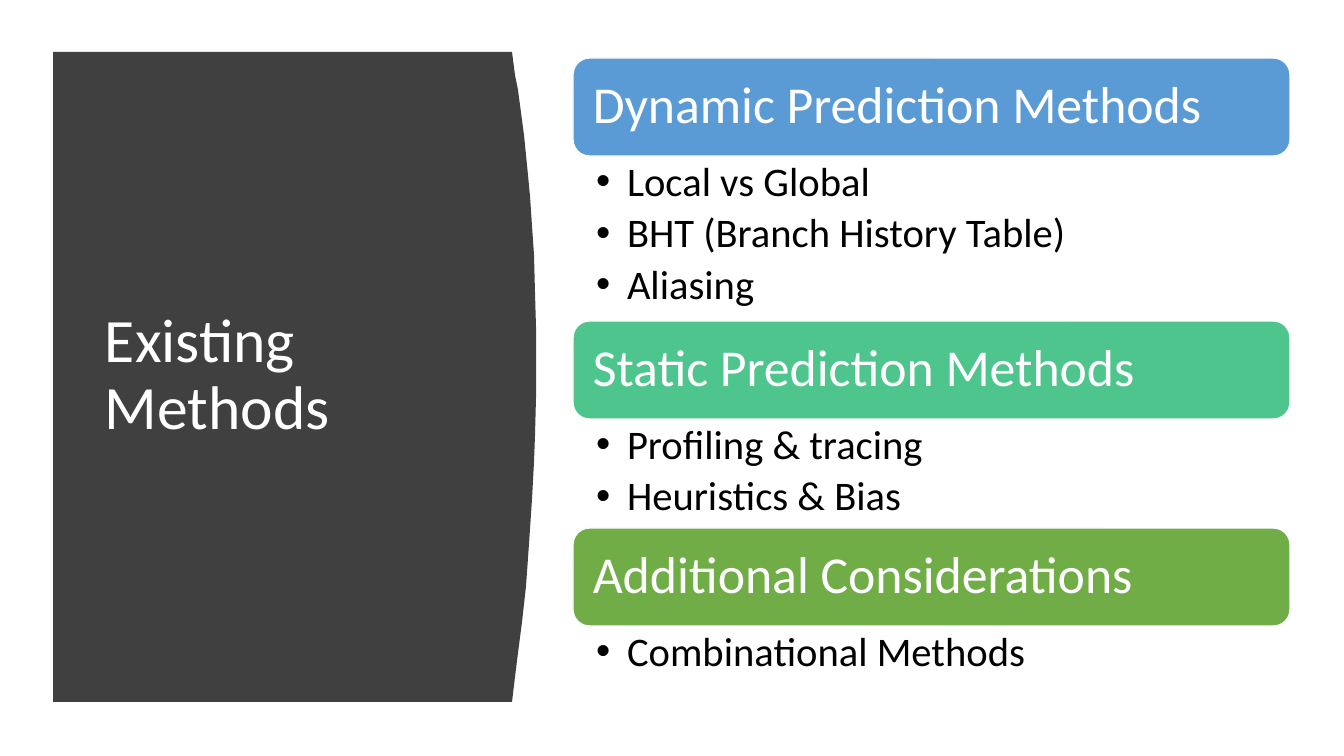
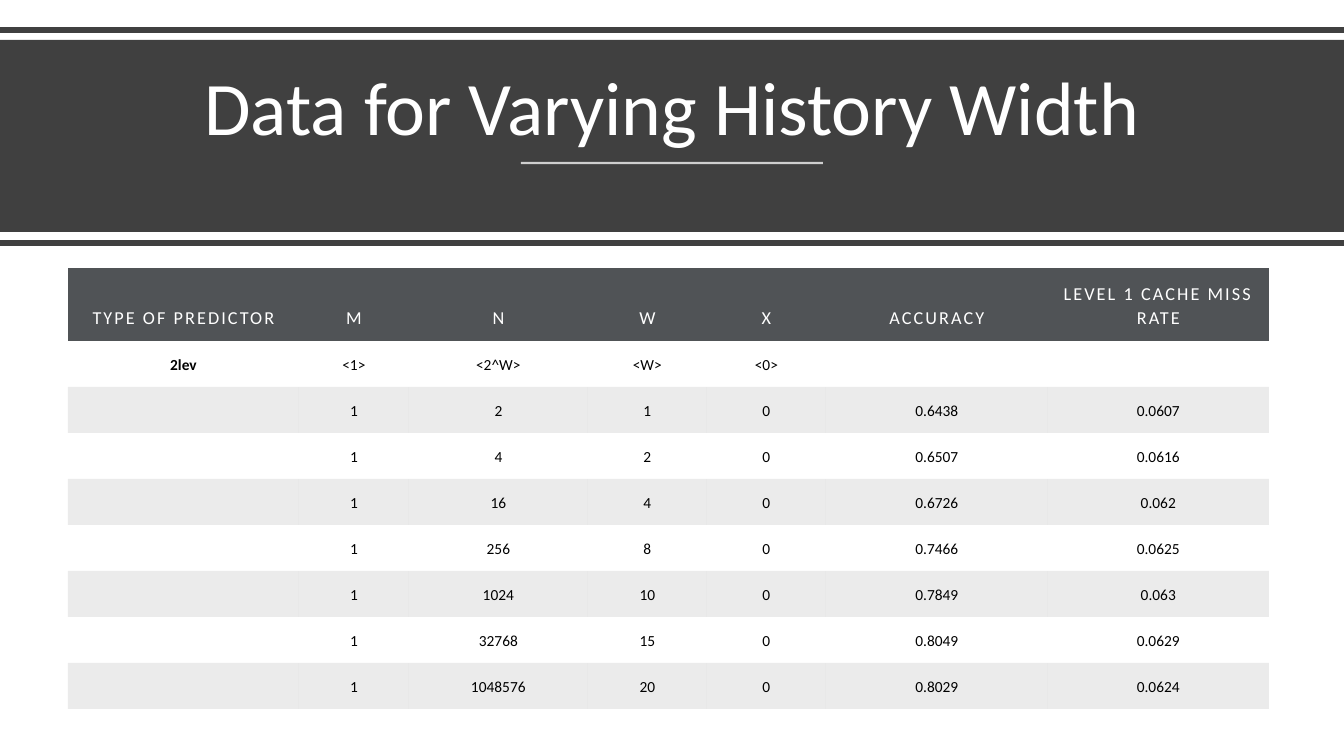
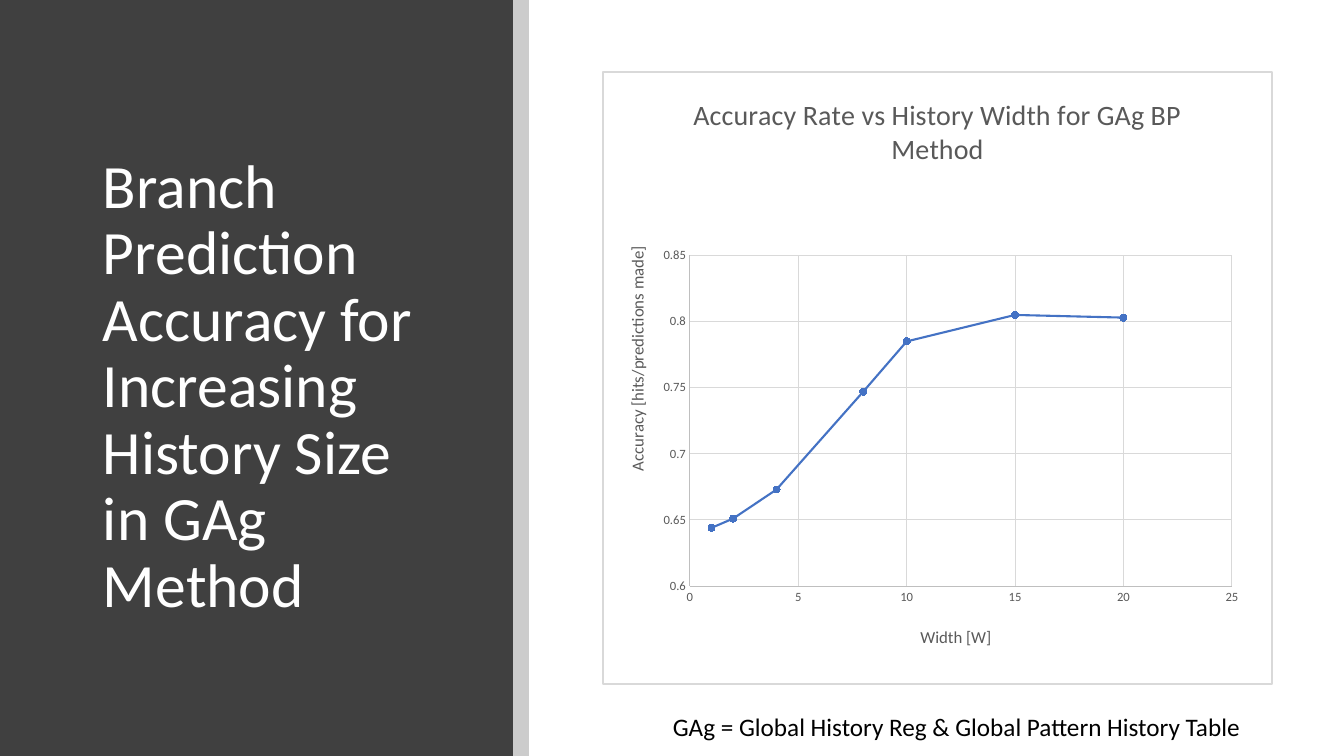
from lxml.etree import SubElement
from pptx import Presentation
from pptx.chart.data import XyChartData
from pptx.dml.color import RGBColor
from pptx.enum.chart import XL_CHART_TYPE, XL_MARKER_STYLE, XL_TICK_MARK
from pptx.enum.shapes import MSO_CONNECTOR, MSO_SHAPE
from pptx.enum.text import MSO_ANCHOR, PP_ALIGN
from pptx.oxml import parse_xml
from pptx.oxml.ns import nsdecls, qn
from pptx.util import Pt

SCALE = 12192000 / 1344
WIDTH, HEIGHT = 1344, 756
FONT = "Calibri"
NO_STYLE_TABLE = "{2D5ABB26-0587-4C30-8999-92F81FD0307C}"

WHITE = RGBColor(0xFF, 0xFF, 0xFF)
BLACK = RGBColor(0x00, 0x00, 0x00)
DARK = RGBColor(0x40, 0x40, 0x40)
SLATE = RGBColor(0x50, 0x53, 0x56)
BLUE = RGBColor(0x5B, 0x9B, 0xD5)
TEAL = RGBColor(0x4D, 0xC5, 0x8D)
GREEN = RGBColor(0x70, 0xAD, 0x47)
SERIES = RGBColor(0x44, 0x72, 0xC4)
CHART_TEXT = RGBColor(0x59, 0x59, 0x59)
AXIS = RGBColor(0xBF, 0xBF, 0xBF)
GRID = RGBColor(0xD9, 0xD9, 0xD9)

PANEL_EDGE = [
    (512, 52), (515, 75), (518, 90), (520, 105), (524, 135), (527, 165), (530, 196),
    (532, 226), (534, 255), (535, 292), (536, 328), (536, 397), (535, 436), (534, 462),
    (532, 499), (529, 544), (526, 586), (522, 622), (518, 653), (515, 677), (512, 702),
]
METHODS = [
    ("Dynamic Prediction Methods", BLUE, 165,
     ["Local vs Global", "BHT (Branch History Table)", "Aliasing"]),
    ("Static Prediction Methods", TEAL, 109, ["Profiling & tracing", "Heuristics & Bias"]),
    ("Additional Considerations", GREEN, 68, ["Combinational Methods"]),
]
COLUMNS = [231, 110, 179, 119, 119, 222, 221]
HEADINGS = ["TYPE OF PREDICTOR", "M", "N", "W", "X", "ACCURACY", "LEVEL 1 CACHE MISS RATE"]
RESULTS = [
    (2, 1, 0.6438, 0.0607), (4, 2, 0.6507, 0.0616), (16, 4, 0.6726, 0.062),
    (256, 8, 0.7466, 0.0625), (1024, 10, 0.7849, 0.063),
    (32768, 15, 0.8049, 0.0629), (1048576, 20, 0.8029, 0.0624),
]
ACCURACY = [(1, 0.644), (2, 0.651), (4, 0.673), (8, 0.747), (10, 0.785), (15, 0.805), (20, 0.803)]


def px(*lengths):
    """Turn px lengths into EMU."""
    return [round(n * SCALE) for n in lengths]


def put(obj, **values):
    """Set each named value as an attribute."""
    for name, value in values.items():
        setattr(obj, name, value)


def fade(element, percent):
    """Give the colours inside an element this opacity."""
    for color in element.iter(qn("a:srgbClr")):
        SubElement(color, qn("a:alpha"), val=str(percent * 1000))


def type_font(font, size, color, bold=False):
    """Apply the deck font with a size and colour."""
    put(font, name=FONT, size=Pt(size), bold=bold)
    font.color.rgb = color


def draw_line(line, color, width):
    """Colour a line and set its width."""
    line.color.rgb = color
    line.width = Pt(width)


def place(parent, **fractions):
    """Fix a chart part at fractions of the chart area."""
    layout = parent.find(qn("c:layout"))
    if layout is None:
        layout = parent.makeelement(qn("c:layout"))
        parent.insert(0 if parent.find(qn("c:tx")) is None else 1, layout)
    manual = SubElement(layout, qn("c:manualLayout"))
    if "w" in fractions:
        SubElement(manual, qn("c:layoutTarget"), val="inner")
    for name in ("x", "y"):
        SubElement(manual, qn(f"c:{name}Mode"), val="edge")
    for name, value in fractions.items():
        SubElement(manual, qn(f"c:{name}"), val=str(value))


class Deck:
    """Hold the style and the current slide."""

    def __init__(self):
        """Start an empty presentation."""
        self.prs = Presentation()
        self.prs.slide_width, self.prs.slide_height = px(WIDTH, HEIGHT)

    def slide(self):
        """Add a blank slide."""
        self.s = self.prs.slides.add_slide(self.prs.slide_layouts[6])

    def fill_text(self, tf, lines, size, color, align=PP_ALIGN.LEFT, anchor=MSO_ANCHOR.TOP,
                  insets=(10, 5, 10, 5), spacing=0.9, after=0, bullet=False, wrap=True):
        """Fill a text frame with paragraphs."""
        left, top, right, bottom = px(*insets)
        put(tf, word_wrap=wrap, vertical_anchor=anchor, margin_left=left,
            margin_top=top, margin_right=right, margin_bottom=bottom)
        for i, line in enumerate(lines):
            p = tf.add_paragraph() if i else tf.paragraphs[0]
            put(p, alignment=align, line_spacing=spacing, space_after=Pt(after))
            r = p.add_run()
            r.text = line
            type_font(r.font, size, color)
            if bullet:
                indent, = px(31)
                pPr = p._p.get_or_add_pPr()
                pPr.set("marL", str(indent))
                pPr.set("indent", str(-indent))
                SubElement(pPr, qn("a:buFont"), typeface="Arial")
                SubElement(pPr, qn("a:buChar"), char="•")

    def text(self, box, lines, size, color, **fmt):
        """Add a text box."""
        sp = self.s.shapes.add_textbox(*px(*box))
        self.fill_text(sp.text_frame, lines, size, color, **fmt)

    def title(self, box, words, size=44, anchor=MSO_ANCHOR.MIDDLE, align=PP_ALIGN.LEFT):
        """Add a white slide title."""
        self.text(box, [words], size, WHITE, anchor=anchor, align=align)

    def paint(self, sp, color):
        """Give a shape a plain fill without line or shadow."""
        sp.shadow.inherit = False
        sp.fill.solid()
        sp.fill.fore_color.rgb = color
        sp.line.fill.background()
        return sp

    def shape(self, box, color, kind=MSO_SHAPE.RECTANGLE):
        """Add a filled preset shape."""
        return self.paint(self.s.shapes.add_shape(kind, *px(*box)), color)

    def outline(self, points, color):
        """Add a filled freeform."""
        builder = self.s.shapes.build_freeform(*points[0], scale=SCALE)
        builder.add_line_segments(points[1:])
        self.paint(builder.convert_to_shape(), color)

    def rule(self, x1, x2, y, color, width, opacity=100):
        """Add a horizontal line."""
        sp = self.s.shapes.add_connector(MSO_CONNECTOR.STRAIGHT, *px(x1, y, x2, y))
        draw_line(sp.line, color, width)
        spPr = sp._element.spPr
        if opacity < 100:
            fade(spPr, opacity)
        SubElement(spPr, qn("a:effectLst"))

    def table(self, x, y, columns, head_height, row_height, rows):
        """Add a table with a dark head and shaded alternate rows."""
        height = head_height + row_height * (len(rows) - 1)
        frame = self.s.shapes.add_table(len(rows), len(columns), *px(x, y, sum(columns), height))
        table = frame.table
        put(table, first_row=False, horz_banding=False)
        table._tbl.tblPr.find(qn("a:tableStyleId")).text = NO_STYLE_TABLE
        for column, width in zip(table.columns, px(*columns)):
            column.width = width
        for i, (row, values) in enumerate(zip(table.rows, rows)):
            row.height, = px(row_height if i else head_height)
            for cell, value in zip(row.cells, values):
                self.cell(cell, str(value), i)

    def cell(self, cell, value, row):
        """Fill one table cell."""
        if row % 2:
            cell.fill.background()
        else:
            cell.fill.solid()
            cell.fill.fore_color.rgb = BLACK if row else SLATE
            if row:
                fade(cell._tc, 8)
        if not value:
            return
        left, top, right, bottom = px(12, 12, 12, 12)
        put(cell, vertical_anchor=MSO_ANCHOR.BOTTOM, margin_left=left, margin_top=top,
            margin_right=right, margin_bottom=bottom)
        p = cell.text_frame.paragraphs[0]
        put(p, alignment=PP_ALIGN.CENTER, line_spacing=1.07)
        r = p.add_run()
        r.text = value
        type_font(r.font, 11 if row else 13, BLACK if row else WHITE, value == "2lev")
        if not row:
            r.font._element.set("spc", "150")

    def chart_title(self, tf, words, size):
        """Set a chart or axis title."""
        r = tf.paragraphs[0].add_run()
        r.text = words
        type_font(r.font, size, CHART_TEXT)

    def axis(self, axis, words, low, high, step, x, y):
        """Style a chart axis and place its title."""
        put(axis, minimum_scale=low, maximum_scale=high, major_unit=step,
            has_major_gridlines=True, has_title=True,
            major_tick_mark=XL_TICK_MARK.NONE, minor_tick_mark=XL_TICK_MARK.NONE)
        draw_line(axis.major_gridlines.format.line, GRID, 0.75)
        draw_line(axis.format.line, AXIS, 0.75)
        put(axis.tick_labels, number_format="General", number_format_is_linked=False)
        type_font(axis.tick_labels.font, 9, CHART_TEXT)
        self.chart_title(axis.axis_title.text_frame, words, 12)
        place(axis.axis_title._element, x=x, y=y)

    def scatter(self, box, words, points):
        """Add a scatter chart with joined markers."""
        data = XyChartData()
        series = data.add_series("Series 1")
        for x, y in points:
            series.add_data_point(x, y)
        frame = self.s.shapes.add_chart(XL_CHART_TYPE.XY_SCATTER_LINES, *px(*box), data)
        chart = frame.chart
        put(chart, has_legend=False, has_title=True)
        type_font(chart.font, 10, BLACK)
        self.chart_title(chart.chart_title.text_frame, words, 20)
        self.axis(chart.category_axis, "Width [W]", 0, 25, 5, 0.47, 0.9)
        self.axis(chart.value_axis, "Accuracy [hits/predictions made]", 0.6, 0.85, 0.05, 0.03, 0.28)
        body = chart.value_axis.axis_title.text_frame._txBody.bodyPr
        body.set("rot", "-5400000")
        body.set("vert", "horz")
        chart.plots[0].vary_by_categories = False
        line = chart.plots[0].series[0]
        line.smooth = False
        draw_line(line.format.line, SERIES, 1.5)
        put(line.marker, style=XL_MARKER_STYLE.CIRCLE, size=5)
        line.marker.format.fill.solid()
        line.marker.format.fill.fore_color.rgb = SERIES
        draw_line(line.marker.format.line, SERIES, 0.75)
        area = chart._chartSpace.chart
        place(area.plotArea, x=0.13, y=0.3, w=0.81, h=0.54)
        area.addnext(parse_xml(
            f'<c:spPr {nsdecls("c", "a")}>'
            f'<a:solidFill><a:srgbClr val="{WHITE}"/></a:solidFill>'
            f'<a:ln w="{Pt(1.25)}"><a:solidFill><a:srgbClr val="{GRID}"/></a:solidFill></a:ln>'
            '</c:spPr>'))


def methods_slide(deck):
    """Build the list of existing methods."""
    deck.slide()
    deck.outline([(53, 52), *PANEL_EDGE, (53, 702)], DARK)
    deck.title((95, 112, 377, 528), "Existing Methods")
    x, y, width, head = 573, 58, 717, 98
    for name, color, height, items in METHODS:
        sp = deck.shape((x, y, width, head), color, MSO_SHAPE.ROUNDED_RECTANGLE)
        draw_line(sp.line, WHITE, 1)
        deck.fill_text(sp.text_frame, [name], 37, WHITE, anchor=MSO_ANCHOR.MIDDLE,
                       insets=(15, 15, 15, 15))
        deck.text((x, y + head, width, height), items, 29, BLACK,
                  insets=(23, 5, 29, 5), after=5.5, bullet=True)
        y += head + height


def data_slide(deck):
    """Build the table of results."""
    deck.slide()
    deck.shape((0, 40, WIDTH, 192), DARK)
    for y in (30, 243):
        deck.rule(0, WIDTH, y, DARK, 4)
    deck.title((58, 54, 1228, 103), "Data for Varying History Width", 54,
               MSO_ANCHOR.BOTTOM, PP_ALIGN.CENTER)
    deck.rule(521, 823, 163, WHITE, 1.5, 75)
    rows = [HEADINGS, ["2lev", "<1>", "<2^W>", "<W>", "<0>", "", ""]]
    rows += [["", 1, n, w, 0, accuracy, miss] for n, w, accuracy, miss in RESULTS]
    deck.table(68, 268, COLUMNS, 73, 46, rows)


def accuracy_slide(deck):
    """Build the accuracy chart."""
    deck.slide()
    deck.shape((0, 0, 513, HEIGHT), DARK)
    deck.title((93, 90, 368, 596),
               "Branch Prediction Accuracy for Increasing History Size in GAg Method")
    fade(deck.shape((513, 0, 16, HEIGHT), BLACK)._element.spPr, 20)
    deck.scatter((602, 71, 671, 614), "Accuracy Rate vs History Width for GAg BP Method", ACCURACY)
    deck.text((659, 706, 595, 40), ["GAg = Global History Reg & Global Pattern History Table"],
              18, BLACK, align=PP_ALIGN.CENTER, spacing=1, wrap=False)


def main():
    """Build and save the deck."""
    deck = Deck()
    for build in (methods_slide, data_slide, accuracy_slide):
        build(deck)
    deck.prs.save("out.pptx")


if __name__ == "__main__":
    main()
